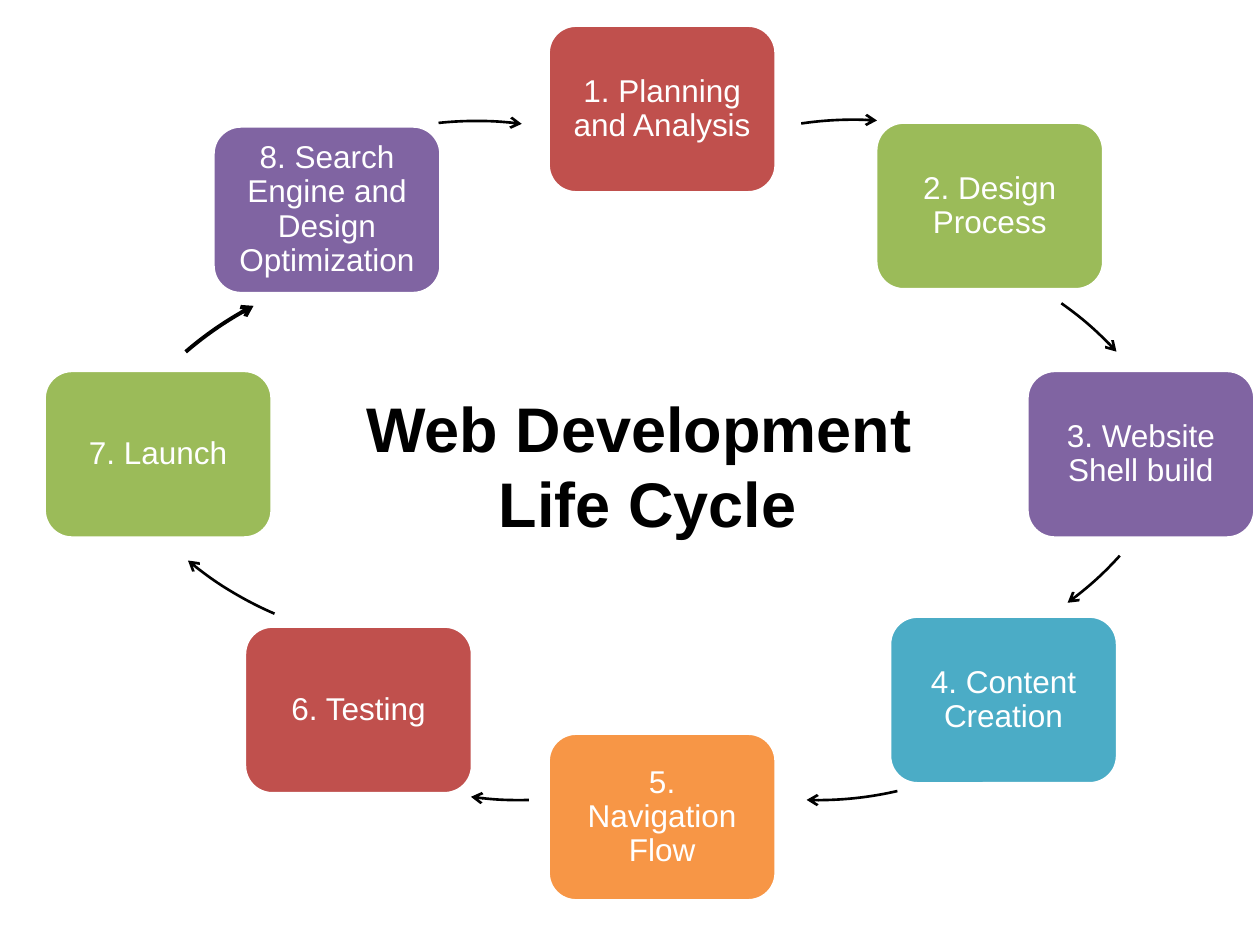
"""Build a slide showing the web development life cycle as a ring of eight stages."""
from lxml.etree import SubElement
from pptx import Presentation
from pptx.dml.color import RGBColor
from pptx.enum.shapes import MSO_SHAPE
from pptx.enum.text import MSO_ANCHOR, MSO_AUTO_SIZE, PP_ALIGN
from pptx.oxml.ns import qn
from pptx.util import Pt

BLACK = RGBColor(0x00, 0x00, 0x00)
WHITE = RGBColor(0xFF, 0xFF, 0xFF)
RED = RGBColor(0xC0, 0x50, 0x4D)
GREEN = RGBColor(0x9B, 0xBB, 0x59)
PURPLE = RGBColor(0x80, 0x64, 0xA2)
TEAL = RGBColor(0x4B, 0xAC, 0xC6)
ORANGE = RGBColor(0xF7, 0x96, 0x46)

STAGES = [
    ("1. Planning and Analysis", 313.2, 14.4, RED),
    ("2. Design Process", 500.4, 69.8, GREEN),
    ("3. Website Shell build", 586.8, 211.7, PURPLE),
    ("4. Content Creation", 508.3, 352.1, TEAL),
    ("5. Navigation Flow", 313.2, 419, ORANGE),
    ("6. Testing", 139.7, 357.8, RED),
    ("7. Launch", 25.2, 211.7, GREEN),
    ("8. Search Engine and Design Optimization", 121.7, 72, PURPLE),
]
ARROWS = [
    (285.1, 68.4, 261.6, 273.9, 1.5),
    (287.3, 136.1, 305.3, 317.2, 1.5),
    (288, -20.9, 42.3, 53.7, 1.5),
    (265, 52.6, 77, 91.8, 1.5),
    (94.3, 52.6, 88.4, 97.8, 1.5),
    (34.6, -37.4, 113.3, 129.8, 1.5),
    (36, 151.9, 229.2, 242.5, 2.25),
    (69.8, 69.1, 263.9, 277.4, 1.5),
]


def write_text(frame, text, *, size, color, bold=False, spacing=1.0, font="Arial"):
    """Fill a text frame with centred paragraphs, one for each line of text."""
    for index, line in enumerate(text.split("\n")):
        paragraph = frame.add_paragraph() if index else frame.paragraphs[0]
        paragraph.alignment = PP_ALIGN.CENTER
        paragraph.line_spacing = spacing
        run = paragraph.add_run()
        run.text = line
        run.font.name = font
        run.font.size = Pt(size)
        run.font.bold = bold
        run.font.color.rgb = color


class CycleSlide:
    """Hold the cycle's style and the slide it is drawn on."""

    stage_width, stage_height = 130.3, 95.8
    stage_inset = 9.8
    ring_diameter = 404.6
    degree = 0.6

    def __init__(self, slide):
        """Keep the current slide."""
        self.slide = slide

    def add_stage(self, label, left, top, color):
        """Add a rounded box with the name of a stage."""
        stage = self.slide.shapes.add_shape(
            MSO_SHAPE.ROUNDED_RECTANGLE, Pt(left), Pt(top),
            Pt(self.stage_width), Pt(self.stage_height))
        stage.shadow.inherit = False
        stage.fill.solid()
        stage.fill.fore_color.rgb = color
        stage.line.color.rgb = WHITE
        stage.line.width = Pt(2)
        frame = stage.text_frame
        frame.word_wrap = True
        frame.vertical_anchor = MSO_ANCHOR.MIDDLE
        frame.margin_left = frame.margin_right = Pt(self.stage_inset)
        frame.margin_top = frame.margin_bottom = Pt(self.stage_inset)
        write_text(frame, label, size=18, color=WHITE, spacing=0.9)

    def add_arrow(self, left, top, start, end, weight):
        """Add a clockwise arc between two angles in degrees, with an arrowhead."""
        arrow = self.slide.shapes.add_shape(
            MSO_SHAPE.ARC, Pt(left), Pt(top),
            Pt(self.ring_diameter), Pt(self.ring_diameter))
        arrow.adjustments[0] = start * self.degree
        arrow.adjustments[1] = end * self.degree
        arrow.shadow.inherit = False
        arrow.fill.background()
        arrow.line.color.rgb = BLACK
        arrow.line.width = Pt(weight)
        outline = arrow.line._get_or_add_ln()
        SubElement(outline, qn("a:tailEnd"), type="arrow")

    def add_title(self, text, left, top, width, height):
        """Add the title in the middle of the cycle."""
        title = self.slide.shapes.add_textbox(Pt(left), Pt(top), Pt(width), Pt(height))
        title.text_frame.word_wrap = False
        title.text_frame.auto_size = MSO_AUTO_SIZE.SHAPE_TO_FIT_TEXT
        write_text(title.text_frame, text, size=36, color=BLACK, bold=True)


def main():
    """Draw the cycle and save the presentation."""
    presentation = Presentation()
    presentation.slide_width, presentation.slide_height = Pt(720), Pt(540)
    blank_layout = presentation.slide_layouts[6]
    cycle = CycleSlide(presentation.slides.add_slide(blank_layout))
    for stage, arrow in zip(STAGES, ARROWS):
        cycle.add_stage(*stage)
        cycle.add_arrow(*arrow)
    cycle.add_title("Web Development \nLife Cycle", 200.2, 218.9, 339.8, 94.3)
    presentation.save("out.pptx")


if __name__ == "__main__":
    main()
